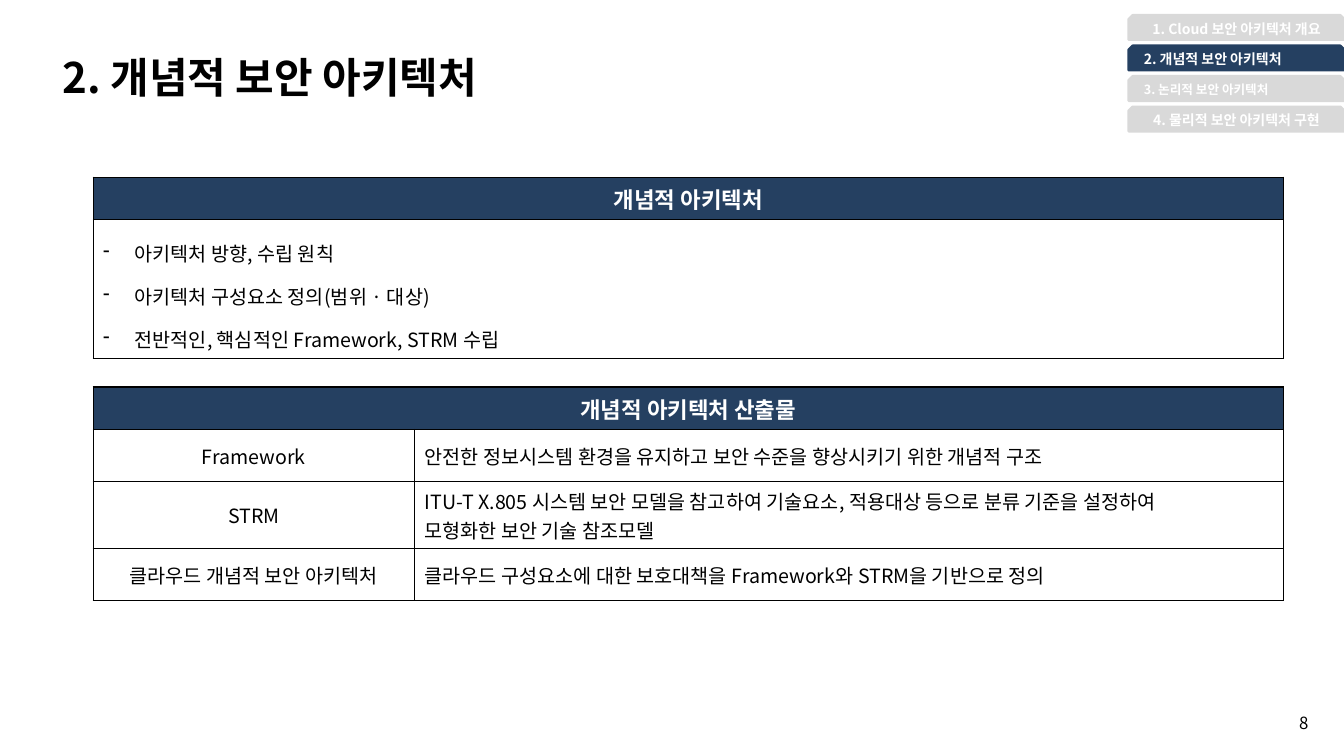
from dataclasses import dataclass

from lxml.etree import SubElement
from pptx import Presentation
from pptx.dml.color import RGBColor as RGB
from pptx.enum.shapes import MSO_SHAPE as Shape
from pptx.enum.text import MSO_ANCHOR as Anchor, MSO_AUTO_SIZE as AutoSize, PP_ALIGN as Align
from pptx.oxml import parse_xml
from pptx.oxml.ns import nsdecls, qn
from pptx.util import Pt


@dataclass(frozen=True)
class Theme:
    font: str = "Noto Sans CJK KR"
    navy: RGB = RGB(0x25, 0x40, 0x61)
    gray: RGB = RGB(0xD9, 0xD9, 0xD9)
    white: RGB = RGB(0xFF, 0xFF, 0xFF)
    black: RGB = RGB(0, 0, 0)
    title: int = 30
    header: int = 16
    body: int = 14
    page: int = 12
    tab: int = 10
    small_tab: int = 9


THEME = Theme()


def write(tf, text, size=THEME.body, color=THEME.black, bold=False,
          align=Align.LEFT, spacing=None, bullet=None, indent=22.5):
    """Fill a text frame with one paragraph for each line of text."""
    for i, line in enumerate(text.split("\n")):
        p = tf.paragraphs[0] if i == 0 else tf.add_paragraph()
        if bullet:
            pPr = p._p.get_or_add_pPr()
            pPr.set("marL", str(Pt(indent)))
            pPr.set("indent", str(-Pt(indent)))
            SubElement(pPr, qn("a:buChar"), char=bullet)
        p.alignment = align
        if spacing:
            p.line_spacing = spacing
        r = p.add_run()
        r.text = line
        r.font.name = THEME.font
        r.font.size = Pt(size)
        r.font.bold = bold
        r.font.color.rgb = color
        SubElement(r._r.get_or_add_rPr(), qn("a:ea"), typeface=THEME.font)


class Deck:
    def __init__(self, theme):
        self.theme = theme
        self.prs = Presentation()
        self.prs.slide_width, self.prs.slide_height = Pt(960), Pt(540)
        self.s = None

    def add_slide(self, title, x, y, w, h):
        self.s = self.prs.slides.add_slide(self.prs.slide_layouts[5])
        sp = self.s.shapes.title
        sp.left, sp.top, sp.width, sp.height = Pt(x), Pt(y), Pt(w), Pt(h)
        tf = sp.text_frame
        tf.auto_size = AutoSize.NONE
        tf.vertical_anchor = Anchor.TOP
        write(tf, title, size=self.theme.title, bold=True)

    def add_text(self, text, x, y, w, h, **style):
        tf = self.s.shapes.add_textbox(Pt(x), Pt(y), Pt(w), Pt(h)).text_frame
        tf.word_wrap = True
        write(tf, text, **style)

    def add_tab(self, text, x, y, w, h, active=False, inset=7.2, **style):
        sp = self.s.shapes.add_shape(Shape.SNIP_2_SAME_RECTANGLE, Pt(x), Pt(y), Pt(w), Pt(h))
        color = self.theme.navy if active else self.theme.gray
        sp.shadow.inherit = False
        sp.fill.solid()
        sp.fill.fore_color.rgb = color
        sp.line.color.rgb = color
        sp.line.width = Pt(2)
        tf = sp.text_frame
        tf.margin_left = Pt(inset)
        tf.vertical_anchor = Anchor.MIDDLE
        write(tf, text, color=self.theme.white, bold=True, **style)

    def add_table(self, header, rows, x, y, widths, heights, styles):
        """Draw a table with one header across all its columns."""
        table = self.s.shapes.add_table(len(heights), len(widths), Pt(x), Pt(y),
                                        Pt(sum(widths)), Pt(sum(heights))).table
        table.horz_banding = table.first_row = False
        for column, width in zip(table.columns, widths):
            column.width = Pt(width)
        for row, height in zip(table.rows, heights):
            row.height = Pt(height)

        head = table.cell(0, 0)
        if len(widths) > 1:
            head.merge(table.cell(0, len(widths) - 1))
        write(head.text_frame, header, size=self.theme.header, color=self.theme.white,
              bold=True, align=Align.CENTER)
        for i, texts in enumerate(rows, 1):
            for j, (text, style) in enumerate(zip(texts, styles)):
                write(table.cell(i, j).text_frame, text, **style)

        for i, row in enumerate(table.rows):
            for cell in row.cells:
                cell.vertical_anchor = Anchor.MIDDLE
                if i == 0:
                    cell.fill.solid()
                    cell.fill.fore_color.rgb = self.theme.navy
                else:
                    cell.fill.background()
                self.add_borders(cell)

    def add_borders(self, cell, width=1):
        tcPr = cell._tc.get_or_add_tcPr()
        for i, side in enumerate("LRTB"):
            tcPr.insert(i, parse_xml(
                f'<a:ln{side} {nsdecls("a")} w="{Pt(width)}"><a:solidFill>'
                f'<a:srgbClr val="{self.theme.black}"/></a:solidFill></a:ln{side}>'))


def main():
    deck = Deck(THEME)
    deck.add_slide("2. 개념적 보안 아키텍처", 37.5, 33, 482, 44)

    # Chapter tabs
    centred = dict(size=THEME.tab, align=Align.CENTER)
    tabs = [
        ("1. Cloud 보안 아키텍처 개요", centred),
        ("2. 개념적 보안 아키텍처", dict(size=THEME.tab, inset=9.4, active=True)),
        ("3. 논리적 보안 아키텍처", dict(size=THEME.small_tab, inset=9.4)),
        ("4. 물리적 보안 아키텍처 구현", centred),
    ]
    for i, (text, style) in enumerate(tabs):
        deck.add_tab(text, 806.2, 11 + 21.8 * i, 154, 17.3, **style)

    # Conceptual architecture
    points = "아키텍처 방향, 수립 원칙\n아키텍처 구성요소 정의(범위 · 대상)\n전반적인, 핵심적인 Framework, STRM 수립"
    deck.add_table("개념적 아키텍처", [[points]], 66.5, 126.5, [850.3], [30, 99],
                   [dict(bullet="-", spacing=1.5)])

    # Deliverables
    deliverables = [
        ("Framework", "안전한 정보시스템 환경을 유지하고 보안 수준을 향상시키기 위한 개념적 구조"),
        ("STRM", "ITU-T X.805 시스템 보안 모델을 참고하여 기술요소, 적용대상 등으로 분류 기준을 설정하여\n"
                 "모형화한 보안 기술 참조모델"),
        ("클라우드 개념적 보안 아키텍처",
         "클라우드 구성요소에 대한 보호대책을 Framework와 STRM을 기반으로 정의"),
    ]
    deck.add_table("개념적 아키텍처 산출물", deliverables, 66.5, 276.5, [229.7, 620.6],
                   [30, 37.2, 48, 37.2], [dict(align=Align.CENTER), {}])

    # Page number
    deck.add_text("8", 829.4, 505.4, 112.3, 19.4, size=THEME.page, align=Align.RIGHT)

    deck.prs.save("out.pptx")


if __name__ == "__main__":
    main()
